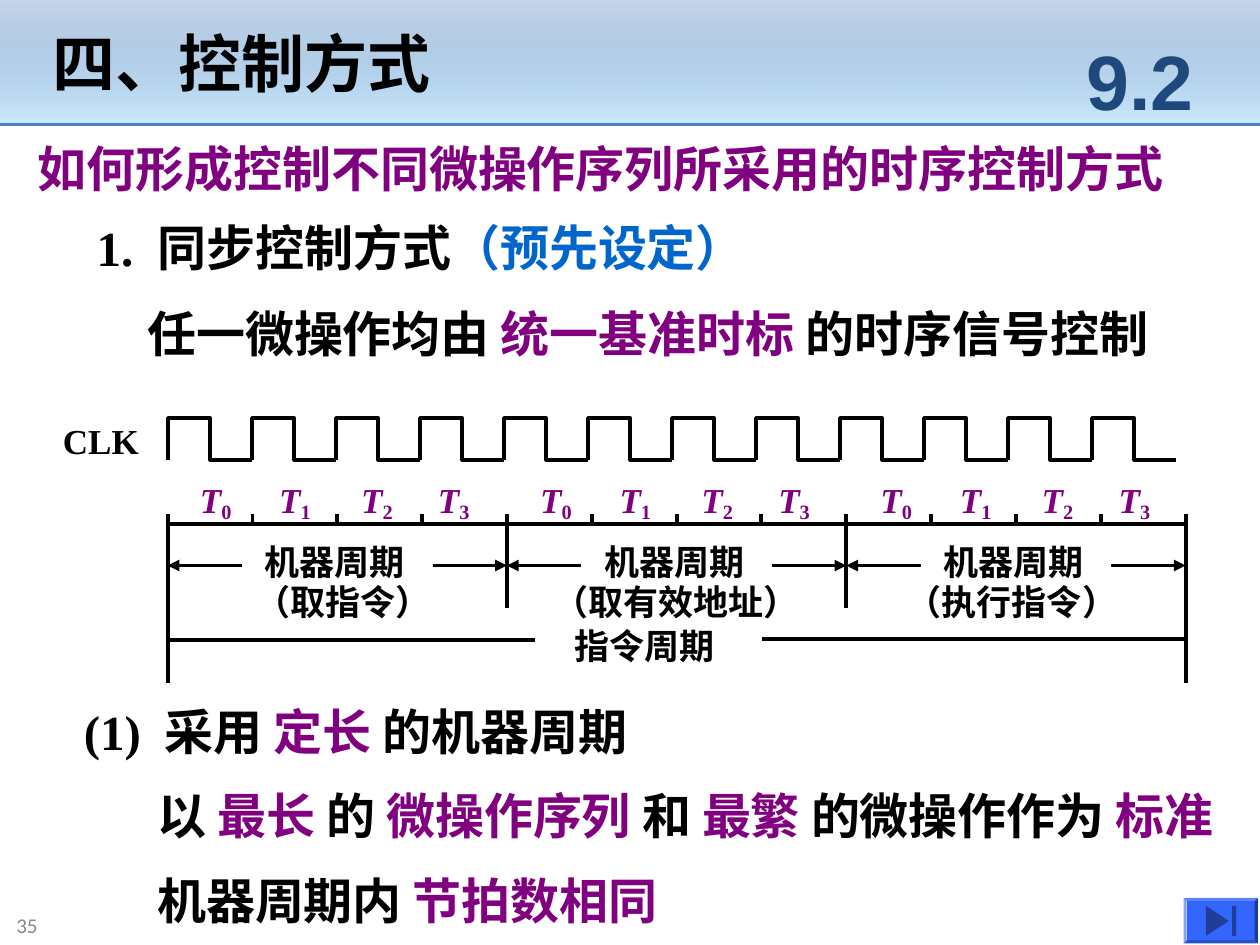
"""Build the slide on synchronous control with its clock timing diagram."""
from dataclasses import dataclass

from pptx import Presentation
from pptx import util as u
from pptx.dml.color import RGBColor
from pptx.enum import shapes, text
from pptx.oxml import ns, xmlchemy as xml


@dataclass(frozen=True)
class Theme:
    """Colours, fonts and type sizes."""
    ink: str = "000000"
    key: str = "800080"
    note: str = "0066CC"
    rule: str = "4F81BD"
    sky: str = "CCECFF"
    navy: str = "1F497D"
    grey: str = "898989"
    button: str = "3366FF"
    symbol: str = "1F3D99"
    serif: str = "Times New Roman"
    title: int = 36
    body: int = 28
    label: int = 20
    section: int = 44
    footer: int = 12
    stroke: float = 2.25


THEME = Theme()
CYCLE_NAMES = [("（取指令）", 4.9, 4.04), ("（取有效地址）", 10.9, 5.46), ("（执行指令）", 18.03, 4.75)]
BEAT_OFFSETS = [0, 1.6, 3.25, 4.8]


def rgb(value):
    """Return a colour object for a hex value."""
    return RGBColor.from_string(value)


def style(span, size, colour, font=THEME.serif, bold=True):
    """Set the type of one run."""
    span.font.size = u.Pt(size)
    span.font.name = font
    span.font.bold = bold
    span.font.color.rgb = rgb(colour)


def paint(shape, colour):
    """Give a shape a plain fill without line or shadow."""
    shape.shadow.inherit = False
    shape.fill.solid()
    shape.fill.fore_color.rgb = rgb(colour)
    shape.line.fill.background()


def add_box(canvas, left, top, width, height, wrap=True):
    """Add an empty text box."""
    box = canvas.add_textbox(u.Cm(left), u.Cm(top), u.Cm(width), u.Cm(height))
    box.text_frame.word_wrap = wrap
    return box


def add_label(canvas, words, left, top, width, height=1.11, size=THEME.label,
              colour=THEME.ink, font=THEME.serif, bold=True, wrap=False):
    """Add a text box with one uniform run."""
    box = add_box(canvas, left, top, width, height, wrap)
    box.text_frame.text = words
    style(box.text_frame.paragraphs[0].runs[0], size, colour, font, bold)
    return box


def add_statement(canvas, parts, left, top, width, tab=None):
    """Add a body line made of (words, colour) parts."""
    para = add_box(canvas, left, top, width, 1.45).text_frame.paragraphs[0]
    if tab:
        stops = xml.OxmlElement("a:tabLst")
        stop = xml.OxmlElement("a:tab")
        stop.set("pos", str(u.Cm(tab)))
        stop.set("algn", "l")
        stops.append(stop)
        para._p.get_or_add_pPr().append(stops)
    for words, colour in parts:
        span = para.add_run()
        span.text = words
        style(span, THEME.body, colour)


def add_beat(canvas, number, left):
    """Add a T label with its subscript."""
    para = add_box(canvas, left, 9.53, 1.14, 1.14, False).text_frame.paragraphs[0]
    for words in ("T", str(number)):
        span = para.add_run()
        span.text = words
        style(span, THEME.label, THEME.key)
    para.runs[0].font.italic = True
    para.runs[1]._r.get_or_add_rPr().set("baseline", "-15000")


def add_line(canvas, start, end, arrow=False, colour=THEME.ink, weight=THEME.stroke):
    """Add a straight line, with an arrowhead at its end if asked."""
    line = canvas.add_connector(shapes.MSO_CONNECTOR.STRAIGHT, *map(u.Cm, start + end))
    line.line.color.rgb = rgb(colour)
    line.line.width = u.Pt(weight)
    if arrow:
        head = xml.OxmlElement("a:tailEnd")
        head.set("type", "triangle")
        line.line._get_or_add_ln().append(head)
    line._element.spPr.append(xml.OxmlElement("a:effectLst"))


def add_pulse(canvas, left, top=8.43, half=0.85, height=0.84):
    """Add one clock period as an open outline."""
    low = top + height
    points = [(left, top), (left + half, top), (left + half, low), (left + 2 * half, low)]
    outline = canvas.build_freeform(u.Cm(left), u.Cm(low))
    outline.add_line_segments([(u.Cm(x), u.Cm(y)) for x, y in points], close=False)
    pulse = outline.convert_to_shape()
    pulse.shadow.inherit = False
    pulse.fill.background()
    pulse.line.color.rgb = rgb(THEME.ink)
    pulse.line.width = u.Pt(THEME.stroke)


def add_header(canvas):
    """Add the shaded title band and the rule below it."""
    band = canvas.add_shape(shapes.MSO_SHAPE.RECTANGLE, 0, 0, u.Cm(25.4), u.Cm(2.51))
    band.shadow.inherit = False
    band.line.fill.background()
    band.fill.gradient()
    band.fill.gradient_angle = 270
    for stop, place, colour in zip(band.fill.gradient_stops, (0, 1), (THEME.rule, THEME.sky)):
        stop.position = place
        stop.color.rgb = rgb(colour)
    alpha = xml.OxmlElement("a:alpha")
    alpha.set("val", "32000")
    band._element.spPr.find(".//" + ns.qn("a:srgbClr")).append(alpha)
    add_line(canvas, (0, 2.51), (25.4, 2.51), colour=THEME.rule, weight=1.5)


def add_timeline(canvas, left=3.38, beat=1.71, top=10.36, axis=10.57, arrow_y=11.4):
    """Add the three machine cycles inside one instruction cycle."""
    cycle, right = 4 * beat, left + 12 * beat
    add_line(canvas, (left, axis), (right, axis))
    for tick in range(13):
        x = left + tick * beat
        bottom = 13.77 if tick % 12 == 0 else 12.26 if tick % 4 == 0 else axis
        add_line(canvas, (x, top), (x, bottom))
    for index, (name, name_left, name_width) in enumerate(CYCLE_NAMES):
        start = left + index * cycle
        end = start + cycle
        add_line(canvas, (start + 1.5, arrow_y), (start, arrow_y), arrow=True)
        add_line(canvas, (end - 1.5, arrow_y), (end, arrow_y), arrow=True)
        add_label(canvas, "机器周期", start + beat, 10.77, 3.33)
        add_label(canvas, name, name_left, 11.58, name_width)
        for number, offset in enumerate(BEAT_OFFSETS):
            add_beat(canvas, number, 3.78 + index * 6.86 + offset)
    add_line(canvas, (10.79, 12.9), (left, 12.9))
    add_line(canvas, (15.37, 12.88), (right, 12.88))
    add_label(canvas, "指令周期", 11.33, 12.47, 3.33)


def add_button(canvas):
    """Add the bevelled button with its end symbol."""
    button = canvas.add_shape(shapes.MSO_SHAPE.BEVEL,
                              u.Cm(23.86), u.Cm(18.1), u.Cm(1.5), u.Cm(0.92))
    button.adjustments[0] = 0.07
    paint(button, THEME.button)
    left, top, bottom = u.Cm(24.31), u.Cm(18.26), u.Cm(18.87)
    symbol = canvas.build_freeform(left, top)
    symbol.add_line_segments([(u.Cm(24.77), (top + bottom) // 2), (left, bottom)])
    bar_left, bar_right = u.Cm(24.84), u.Cm(24.92)
    symbol.move_to(bar_left, top)
    symbol.add_line_segments([(bar_right, top), (bar_right, bottom), (bar_left, bottom)])
    paint(symbol.convert_to_shape(), THEME.symbol)


def main():
    """Compose the slide and save it."""
    deck = Presentation()
    deck.slide_width, deck.slide_height = u.Cm(25.4), u.Cm(19.05)
    page = deck.slides.add_slide(deck.slide_layouts[6])
    canvas, ink, key = page.shapes, THEME.ink, THEME.key
    add_header(canvas)
    footer = add_label(canvas, "35", 0.08, 18.24, 5.61, 0.81, THEME.footer, THEME.grey,
                       "Calibri", False, True)
    footer.text_frame.vertical_anchor = text.MSO_ANCHOR.MIDDLE
    add_label(canvas, "四、控制方式", 0.81, 0.36, 10.49, 1.78, THEME.title, wrap=True)
    add_statement(canvas, [("如何形成控制不同微操作序列所采用的时序控制方式", key)], 0.51, 2.67, 24.21)
    add_statement(canvas, [("1.\t同步控制方式", ink), ("（预先设定）", THEME.note)],
                  1.7, 4.27, 15.21, tab=1.23)
    add_statement(canvas, [("任一微操作均由 ", ink), ("统一基准时标 ", key), ("的时序信号控制", ink)],
                  2.72, 5.99, 21.18)
    add_label(canvas, "CLK", 1.02, 8.33, 2.3, wrap=True)
    clock = canvas.add_group_shape().shapes
    for index in range(12):
        add_pulse(clock, 3.39 + index * 25.4 / 15)
    add_timeline(canvas.add_group_shape().shapes)
    add_statement(canvas, [("(1)\t采用 ", ink), ("定长 ", key), ("的机器周期", ink)],
                  1.44, 14.02, 13.67, tab=1.63)
    add_statement(canvas, [("以 ", ink), ("最长 ", key), ("的 ", ink), ("微操作序列 ", key), ("和 ", ink),
                           ("最繁 ", key), ("的微操作作为 ", ink), ("标准", key)], 2.92, 15.72, 22.48)
    section = add_label(canvas, "9.2", 21.39, 0.43, 3.18, 2.34, THEME.section, THEME.navy,
                        "Arial", wrap=True)
    section.text_frame.vertical_anchor = text.MSO_ANCHOR.MIDDLE
    section.text_frame.paragraphs[0].alignment = text.PP_ALIGN.CENTER
    add_statement(canvas, [("机器周期内 ", ink), ("节拍数相同", key)], 2.92, 17.42, 14)
    add_button(canvas)
    deck.save("out.pptx")


if __name__ == "__main__":
    main()
